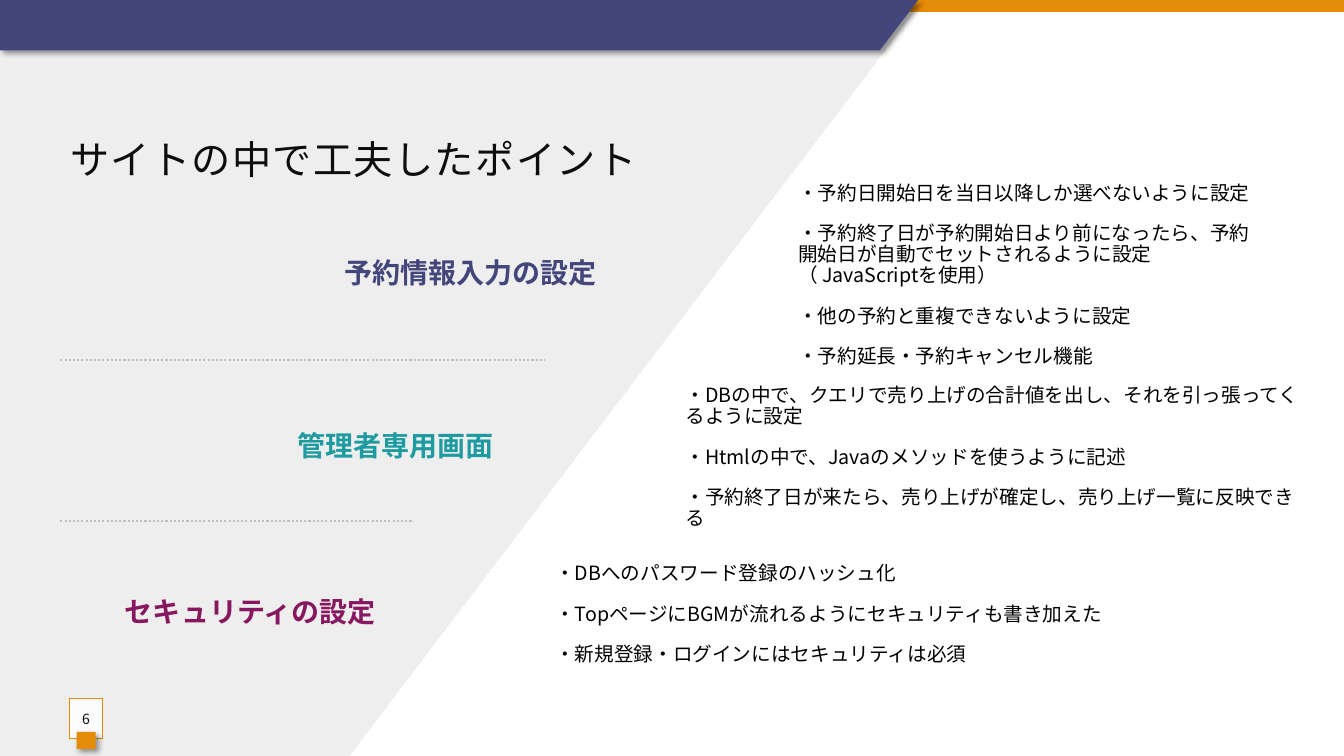
"""Build the slide about the design points of a booking site."""
from dataclasses import dataclass

from lxml.etree import SubElement
from pptx import Presentation
from pptx.dml.color import RGBColor
from pptx.enum.dml import MSO_LINE
from pptx.enum.lang import MSO_LANGUAGE_ID
from pptx.enum.shapes import MSO_CONNECTOR, MSO_SHAPE
from pptx.enum.text import MSO_ANCHOR, MSO_AUTO_SIZE, PP_ALIGN
from pptx.oxml.ns import qn
from pptx.util import Cm, Pt


@dataclass(frozen=True)
class Theme:
    font: str = "Noto Sans CJK JP"
    panel: str = "EEEEEE"
    orange: str = "E58C09"
    navy: str = "43467B"
    teal: str = "1D9BA1"
    plum: str = "87175F"
    ink: str = "0D0D0D"
    black: str = "000000"
    white: str = "FFFFFF"
    rule: str = "BFBFBF"
    title_size: int = 28
    heading_size: int = 20
    list_size: int = 14
    number_size: int = 10


THEME = Theme()
COMPARISON_LAYOUT = 4
SECTIONS = [
    ("予約情報入力の設定 ", THEME.navy, (1.73, 6.32, 13.72, 1.17),
     ["・予約日開始日を当日以降しか選べないように設定",
      "・予約終了日が予約開始日より前になったら、予約開始日が自動でセットされるように設定（ JavaScriptを使用）",
      "・他の予約と重複できないように設定",
      "・予約延長・予約キャンセル機能"], (19.86, 5.38, 12.04, 3.12)),
    ("管理者専用画面", THEME.teal, (1.52, 10.69, 11.18, 1.17),
     ["・DBの中で、クエリで売り上げの合計値を出し、それを引っ張ってくるように設定",
      "・Htmlの中で、Javaのメソッドを使うように記述",
      "・予約終了日が来たら、売り上げが確定し、売り上げ一覧に反映できる"], (17.02, 10.26, 16.28, 2.54)),
    ("セキュリティの設定", THEME.plum, (1.52, 14.88, 8.2, 1.17),
     ["・DBへのパスワード登録のハッシュ化",
      "・TopページにBGMが流れるようにセキュリティも書き加えた",
      "・新規登録・ログインにはセキュリティは必須"], (13.74, 14.22, 18.97, 2.54)),
]


def write_text(frame, lines, *, size, color, bold=False, align=PP_ALIGN.LEFT,
               line_spacing=None, gap=0, tracking=0):
    frame.word_wrap = True
    frame.auto_size = MSO_AUTO_SIZE.NONE
    frame.vertical_anchor = MSO_ANCHOR.MIDDLE
    for index, line in enumerate(lines):
        paragraph = frame.add_paragraph() if index else frame.paragraphs[0]
        paragraph.alignment = align
        paragraph.line_spacing = line_spacing
        paragraph.space_before = Pt(gap if index else 0)
        paragraph.space_after = Pt(2 if gap else 0)
        properties = paragraph._p.get_or_add_pPr()
        properties.set("marL", "0")
        properties.set("indent", "0")
        SubElement(properties, qn("a:buNone"))
        run = paragraph.add_run()
        run.text = line
        font = run.font
        font.name, font.size, font.bold = THEME.font, Pt(size), bold
        font.color.rgb = RGBColor.from_string(color)
        font.language_id = MSO_LANGUAGE_ID.JAPANESE
        run_properties = run._r.get_or_add_rPr()
        run_properties.set("spc", str(tracking * 100))
        SubElement(run_properties, qn("a:ea"), typeface=THEME.font)


class SlideBuilder:
    def __init__(self, slide, theme):
        self.slide = slide
        self.shapes = slide.shapes
        self.theme = theme

    def style(self, shape, fill, outline=None, shadow=False, opacity=100):
        shape.fill.solid()
        shape.fill.fore_color.rgb = RGBColor.from_string(fill)
        if opacity < 100:
            color = shape._element.spPr.find(".//" + qn("a:srgbClr"))
            SubElement(color, qn("a:alpha"), val=str(opacity * 1000))
        if outline:
            shape.line.color.rgb = RGBColor.from_string(outline)
            shape.line.width = Pt(0.75)
        else:
            shape.line.fill.background()
        shape.shadow.inherit = False
        if shadow:
            effects = shape._element.spPr.find(qn("a:effectLst"))
            outer = SubElement(effects, qn("a:outerShdw"), blurRad=str(Pt(4)),
                               dist=str(Pt(3)), dir=str(45 * 60000), rotWithShape="0")
            color = SubElement(outer, qn("a:srgbClr"), val=self.theme.black)
            SubElement(color, qn("a:alpha"), val="40000")
        return shape

    def polygon(self, points, fill, **look):
        start, *rest = [(Cm(x), Cm(y)) for x, y in points]
        builder = self.shapes.build_freeform(*start, scale=1.0)
        builder.add_line_segments(rest, close=True)
        return self.style(builder.convert_to_shape(), fill, **look)

    def rectangle(self, box, fill, **look):
        shape = self.shapes.add_shape(MSO_SHAPE.RECTANGLE, *map(Cm, box))
        return self.style(shape, fill, **look)

    def placeholder(self, shape, box, lines, **text_format):
        self.shapes._spTree.append(shape._element)
        shape.left, shape.top, shape.width, shape.height = map(Cm, box)
        write_text(shape.text_frame, lines, **text_format)

    def title(self, box, text):
        self.placeholder(self.shapes.title, box, [text], size=self.theme.title_size,
                         color=self.theme.ink, tracking=1)

    def bullet_list(self, shape, box, lines):
        self.placeholder(shape, box, lines, size=self.theme.list_size,
                         color=self.theme.black, line_spacing=Pt(15), gap=12)

    def heading(self, box, text, color):
        frame = self.shapes.add_textbox(*map(Cm, box)).text_frame
        write_text(frame, [text], size=self.theme.heading_size, color=color,
                   bold=True, align=PP_ALIGN.RIGHT, line_spacing=0.9)

    def page_number(self, box, text):
        shape = self.rectangle(box, self.theme.white, outline=self.theme.orange, opacity=82)
        frame = shape.text_frame
        frame.margin_left = frame.margin_right = 0
        write_text(frame, [text], size=self.theme.number_size,
                   color=self.theme.ink, align=PP_ALIGN.CENTER)

    def dotted_rule(self, left, right, y):
        connector = self.shapes.add_connector(
            MSO_CONNECTOR.STRAIGHT, Cm(left), Cm(y), Cm(right), Cm(y))
        connector.line.color.rgb = RGBColor.from_string(self.theme.rule)
        connector.line.width = Pt(1.5)
        connector.line.dash_style = MSO_LINE.ROUND_DOT
        SubElement(connector._element.spPr, qn("a:effectLst"))


def main():
    presentation = Presentation()
    presentation.slide_width, presentation.slide_height = Cm(33.87), Cm(19.05)
    slide = presentation.slides.add_slide(presentation.slide_layouts[COMPARISON_LAYOUT])
    builder = SlideBuilder(slide, THEME)
    title, *bodies = list(slide.placeholders)

    builder.polygon([(0, 0), (23.14, 0), (23.14, 0.18), (8.81, 19.05), (0, 19.05)], THEME.panel)
    builder.rectangle((0, 0, 33.87, 0.3), THEME.orange)
    builder.polygon([(0, 0), (23.14, 0), (22.17, 1.27), (0, 1.27)], THEME.navy, shadow=True)

    builder.title((1.52, 3.3, 30.02, 1.42), "サイトの中で工夫したポイント")
    for body, (heading, color, heading_box, points, list_box) in zip(bodies, SECTIONS):
        builder.heading(heading_box, heading, color)
        builder.bullet_list(body, list_box, points)
    for unused in bodies[len(SECTIONS):]:
        unused._element.getparent().remove(unused._element)

    builder.page_number((1.75, 17.6, 0.84, 1.02), "6")
    builder.rectangle((1.93, 18.44, 0.48, 0.43), THEME.orange, shadow=True)
    for right, y in [(13.72, 9.07), (10.41, 13.13)]:
        builder.dotted_rule(1.52, right, y)
    presentation.save("out.pptx")


if __name__ == "__main__":
    main()
